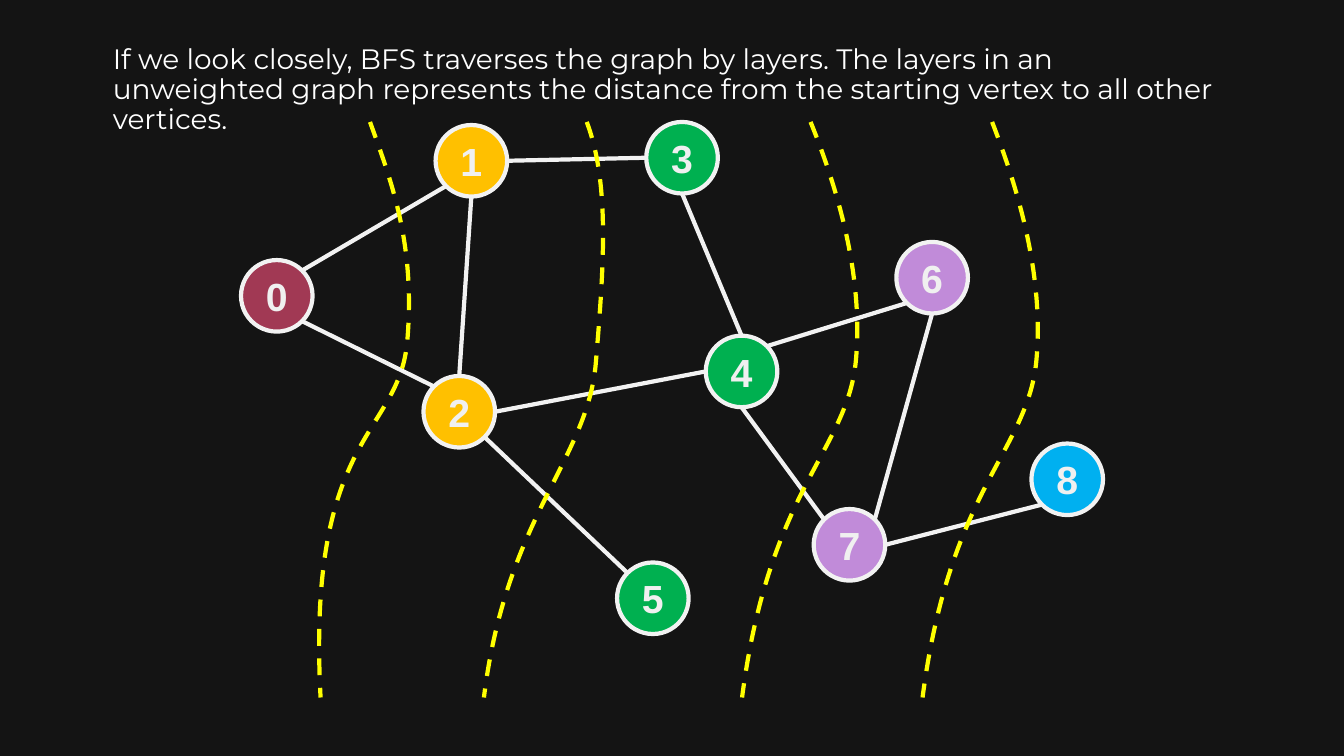
"""Build a slide showing how BFS splits an unweighted graph into distance layers."""
import math
from dataclasses import dataclass

import lxml.etree
import pptx
import pptx.dml.color
import pptx.enum.dml
import pptx.enum.shapes
import pptx.enum.text
import pptx.oxml.ns
import pptx.util

PX = 9144
WIDE, HIGH = 1333, 750
SIZE = 71
STEPS = 16
TOP, LEFT_TOP, LEFT, LEFT_LOW, LOW, RIGHT_LOW, RIGHT, RIGHT_TOP = range(8)


@dataclass(frozen=True)
class Theme:
    back: str = "141414"
    title: str = "FFFFFF"
    label: str = "F0F0F0"
    edge: str = "F2F2F2"
    cut: str = "FFFF00"
    layers: tuple[str, ...] = ("A13954", "FFC000", "00B050", "C18BD9", "00B0F0")
    head_font: str = "Montserrat"
    node_font: str = "Arial"
    head_size: int = 20
    node_size: int = 28
    stroke: int = 3


@dataclass(frozen=True)
class Node:
    name: str
    x: int
    y: int
    layer: int

    def site(self, spot: int) -> tuple[int, int]:
        turn, half = math.radians(45 * spot), SIZE / 2
        return (emu(self.x + half - half * math.sin(turn)),
                emu(self.y + half - half * math.cos(turn)))


@dataclass(frozen=True)
class Edge:
    start: int
    out: int
    end: int
    into: int


@dataclass(frozen=True)
class Cut:
    start: tuple[int, int]
    bends: tuple[tuple[tuple[int, int], ...], ...]


THEME = Theme()
TITLE = ("If we look closely, BFS traverses the graph by layers. The layers in an "
         "unweighted graph represents the distance from the starting vertex to all "
         "other vertices.")
NODES = (
    Node("0", 239, 258, 0),
    Node("1", 432, 124, 1),
    Node("2", 420, 373, 1),
    Node("3", 641, 121, 2),
    Node("4", 700, 333, 2),
    Node("5", 612, 558, 2),
    Node("6", 889, 240, 3),
    Node("7", 807, 505, 3),
    Node("8", 1023, 440, 4),
)
EDGES = (
    Edge(1, RIGHT, 3, LEFT),
    Edge(1, LEFT_LOW, 0, RIGHT_TOP),
    Edge(1, LOW, 2, TOP),
    Edge(0, RIGHT_LOW, 2, LEFT_TOP),
    Edge(2, RIGHT_LOW, 5, LEFT_TOP),
    Edge(3, LOW, 4, TOP),
    Edge(2, RIGHT, 4, LEFT),
    Edge(4, LOW, 7, LEFT_TOP),
    Edge(7, RIGHT, 8, LEFT_LOW),
    Edge(4, RIGHT_TOP, 6, LEFT_LOW),
    Edge(7, RIGHT_TOP, 6, LOW),
)
CUTS = (
    Cut((367, 121), (((389, 182), (412, 243), (404, 338)),
                     ((396, 433), (304, 428), (318, 692)))),
    Cut((582, 121), (((605, 182), (599, 264), (591, 360)),
                     ((583, 456), (502, 513), (480, 692)))),
    Cut((804, 121), (((827, 178), (857, 268), (849, 357)),
                     ((841, 447), (763, 484), (736, 692)))),
    Cut((984, 121), (((1006, 178), (1036, 268), (1028, 357)),
                     ((1020, 447), (942, 484), (915, 692)))),
)


def emu(px: float) -> int:
    return round(px * PX)


def paint(target, tone: str) -> None:
    target.solid()
    target.fore_color.rgb = pptx.dml.color.RGBColor.from_string(tone)


def stroke(line, tone: str) -> None:
    paint(line.fill, tone)
    line.width = pptx.util.Pt(THEME.stroke)


def write(shape, text: str, *, font: str, size: int, tone: str, bold: bool = False,
          align=pptx.enum.text.PP_ALIGN.LEFT, anchor=pptx.enum.text.MSO_ANCHOR.TOP,
          space: float = 1.0) -> None:
    frame = shape.text_frame
    frame.word_wrap = True
    frame.vertical_anchor = anchor
    para = frame.paragraphs[0]
    para.alignment = align
    para.line_spacing = space
    run = para.add_run()
    run.text = text
    run.font.name = font
    run.font.size = pptx.util.Pt(size)
    run.font.bold = bold
    run.font.color.rgb = pptx.dml.color.RGBColor.from_string(tone)


def add_form(slide, kind, x: int, y: int, wide: int, high: int, tone: str):
    form = slide.shapes.add_shape(kind, emu(x), emu(y), emu(wide), emu(high))
    form.shadow.inherit = False
    paint(form.fill, tone)
    form.line.fill.background()
    return form


def add_title(slide) -> None:
    box = slide.shapes.add_textbox(emu(102), emu(40), emu(1128), emu(101))
    write(box, TITLE, font=THEME.head_font, size=THEME.head_size,
          tone=THEME.title, space=0.9)


def add_node(slide, node: Node):
    disc = add_form(slide, pptx.enum.shapes.MSO_SHAPE.OVAL, node.x, node.y,
                    SIZE, SIZE, THEME.layers[node.layer])
    stroke(disc.line, THEME.edge)
    write(disc, node.name, font=THEME.node_font, size=THEME.node_size,
          tone=THEME.label, bold=True, align=pptx.enum.text.PP_ALIGN.CENTER,
          anchor=pptx.enum.text.MSO_ANCHOR.MIDDLE)
    return disc


def add_tag(parent, tag: str, **values: str):
    return lxml.etree.SubElement(parent, pptx.oxml.ns.qn(tag), **values)


def add_edge(slide, edge: Edge, discs: list) -> None:
    link = slide.shapes.add_connector(
        pptx.enum.shapes.MSO_CONNECTOR.STRAIGHT,
        *NODES[edge.start].site(edge.out), *NODES[edge.end].site(edge.into))
    stroke(link.line, THEME.edge)
    add_tag(link._element.spPr, "a:effectLst")
    glue = link._element.nvCxnSpPr.cNvCxnSpPr
    for tag, index, spot in (("a:stCxn", edge.start, edge.out),
                             ("a:endCxn", edge.end, edge.into)):
        add_tag(glue, tag, id=str(discs[index].shape_id), idx=str(spot))


def trace(cut: Cut) -> list[tuple[int, int]]:
    points, start = [], cut.start
    for bend in cut.bends:
        knots = (start, *bend)
        for step in range(1, STEPS + 1):
            t = step / STEPS
            mix = [math.comb(3, k) * t**k * (1 - t)**(3 - k) for k in range(4)]
            x, y = (sum(m * p[axis] for m, p in zip(mix, knots)) for axis in (0, 1))
            points.append((emu(x), emu(y)))
        start = bend[-1]
    return points


def add_cut(slide, cut: Cut) -> None:
    pen = slide.shapes.build_freeform(emu(cut.start[0]), emu(cut.start[1]))
    pen.add_line_segments(trace(cut), close=False)
    curve = pen.convert_to_shape()
    route = curve._element.find(".//" + pptx.oxml.ns.qn("a:path"))
    for side in route.findall(pptx.oxml.ns.qn("a:lnTo")):
        route.remove(side)
    for bend in cut.bends:
        arc = add_tag(route, "a:cubicBezTo")
        for x, y in bend:
            add_tag(arc, "a:pt", x=str(emu(x) - curve.left), y=str(emu(y) - curve.top))
    curve.shadow.inherit = False
    curve.fill.background()
    stroke(curve.line, THEME.cut)
    curve.line.dash_style = pptx.enum.dml.MSO_LINE.DASH


def main() -> None:
    deck = pptx.Presentation()
    deck.slide_width, deck.slide_height = emu(WIDE), emu(HIGH)
    slide = deck.slides.add_slide(deck.slide_layouts[6])
    add_form(slide, pptx.enum.shapes.MSO_SHAPE.RECTANGLE, 0, 0, WIDE, HIGH, THEME.back)
    add_title(slide)
    discs = [add_node(slide, node) for node in NODES]
    for edge in EDGES:
        add_edge(slide, edge, discs)
    for cut in CUTS:
        add_cut(slide, cut)
    deck.save("out.pptx")


if __name__ == "__main__":
    main()
